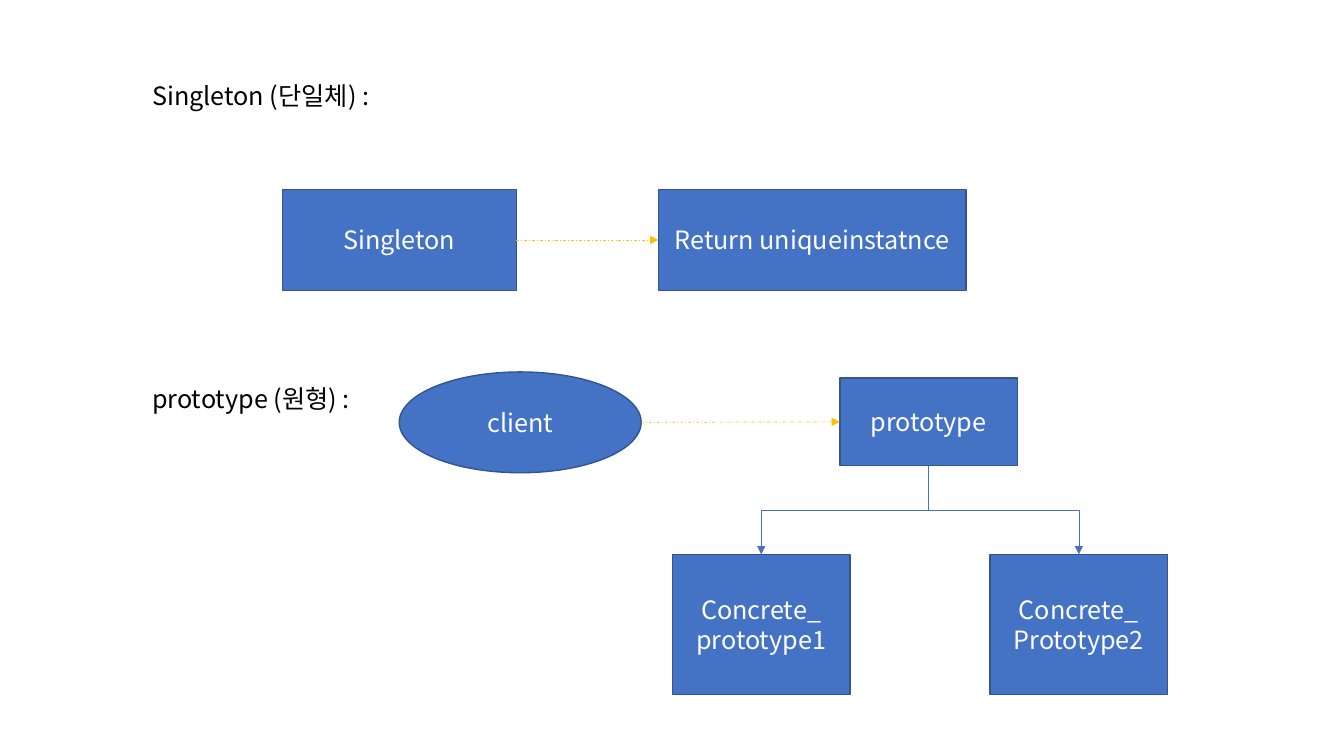
from dataclasses import dataclass

from lxml.etree import SubElement
from pptx import Presentation
from pptx.dml.color import RGBColor
from pptx.enum.dml import MSO_LINE
from pptx.enum.shapes import MSO_CONNECTOR, MSO_SHAPE
from pptx.enum.text import MSO_ANCHOR, MSO_AUTO_SIZE, PP_ALIGN
from pptx.oxml.ns import qn
from pptx.util import Inches, Pt


@dataclass(frozen=True)
class Theme:
    font: str = "Noto Sans CJK KR"
    size: Pt = Pt(18)
    text: RGBColor = RGBColor(0x00, 0x00, 0x00)
    node_text: RGBColor = RGBColor(0xFF, 0xFF, 0xFF)
    node: RGBColor = RGBColor(0x44, 0x72, 0xC4)
    outline: RGBColor = RGBColor(0x32, 0x54, 0x91)
    call: RGBColor = RGBColor(0xFF, 0xC0, 0x00)
    outline_width: Pt = Pt(1)
    arrow_width: Pt = Pt(0.5)


THEME = Theme()


def write(frame, text, color, align):
    frame.text = text
    for para in frame.paragraphs:
        para.alignment = align
        para.font.name = THEME.font
        para.font.size = THEME.size
        para.font.color.rgb = color
        defaults = para._p.pPr.find(qn("a:defRPr"))
        SubElement(defaults, qn("a:ea"), typeface=THEME.font)


def add_heading(page, text, left, top, width):
    box = page.shapes.add_textbox(left, top, width, Inches(0.4))
    write(box.text_frame, text, THEME.text, PP_ALIGN.LEFT)
    box.text_frame.word_wrap = False
    box.text_frame.auto_size = MSO_AUTO_SIZE.SHAPE_TO_FIT_TEXT


def add_node(page, text, left, top, width, height, kind=MSO_SHAPE.RECTANGLE):
    node = page.shapes.add_shape(kind, left, top, width, height)
    node.shadow.inherit = False
    node.fill.solid()
    node.fill.fore_color.rgb = THEME.node
    node.line.color.rgb = THEME.outline
    node.line.width = THEME.outline_width
    node.text_frame.word_wrap = True
    node.text_frame.vertical_anchor = MSO_ANCHOR.MIDDLE
    write(node.text_frame, text, THEME.node_text, PP_ALIGN.CENTER)
    return node


def style_arrow(arrow, color):
    arrow.line.color.rgb = color
    arrow.line.width = THEME.arrow_width
    SubElement(arrow.line._get_or_add_ln(), qn("a:tailEnd"), type="triangle")
    SubElement(arrow._element.spPr, qn("a:effectLst"))


def add_call(page, caller, target):
    """Dashed arrow from the right side of caller to the left side of target."""
    arrow = page.shapes.add_connector(
        MSO_CONNECTOR.STRAIGHT,
        caller.left + caller.width, caller.top + caller.height // 2,
        target.left, target.top + target.height // 2)
    arrow.line.dash_style = MSO_LINE.DASH_DOT
    style_arrow(arrow, THEME.call)


def add_branch(page, parent, child):
    """Elbow arrow that leaves parent downwards and enters child from above."""
    start_x = parent.left + parent.width // 2
    start_y = parent.top + parent.height
    end_x = child.left + child.width // 2
    drop, span = child.top - start_y, abs(end_x - start_x)
    # A turned elbow is stored unrotated about its centre.
    left = (start_x + end_x - drop) // 2
    top = (start_y + child.top - span) // 2
    arrow = page.shapes.add_connector(
        MSO_CONNECTOR.ELBOW, left, top, left + drop, top + span)
    frame = arrow._element.spPr.find(qn("a:xfrm"))
    if end_x < start_x:
        frame.set("rot", str(90 * 60000))
    else:
        frame.set("rot", str(270 * 60000))
        frame.set("flipH", "1")
    style_arrow(arrow, THEME.node)


def build_singleton(page, left, top):
    add_heading(page, "Singleton (단일체) :", left, top, Inches(2.51))
    row_top, height = top + Inches(1.13), Inches(1)
    singleton = add_node(page, "Singleton", left + Inches(1.39), row_top,
                         Inches(2.32), height)
    instance = add_node(page, "Return uniqueinstatnce", left + Inches(5.12),
                        row_top, Inches(3.05), height)
    add_call(page, singleton, instance)


def build_prototype(page, left, top):
    add_heading(page, "prototype (원형) :", left, top, Inches(2.31))
    width = Inches(1.76)
    prototype = add_node(page, "prototype", left + Inches(6.92), top,
                         width, Inches(0.87))
    client = add_node(page, "client", left + Inches(2.55), top - Inches(0.06),
                      Inches(2.4), Inches(1), MSO_SHAPE.OVAL)
    add_call(page, client, prototype)
    names = ("Concrete_\nprototype1", "Concrete_\nPrototype2")
    for index, name in enumerate(names):
        child = add_node(page, name, left + Inches(5.26 + 3.15 * index),
                         top + Inches(1.75), width, Inches(1.39))
        add_branch(page, prototype, child)


def main():
    deck = Presentation()
    deck.slide_width, deck.slide_height = Inches(13.33), Inches(7.5)
    page = deck.slides.add_slide(deck.slide_layouts[6])
    left = Inches(1.41)
    build_singleton(page, left, Inches(0.75))
    build_prototype(page, left, Inches(3.75))
    deck.save("out.pptx")


if __name__ == "__main__":
    main()
